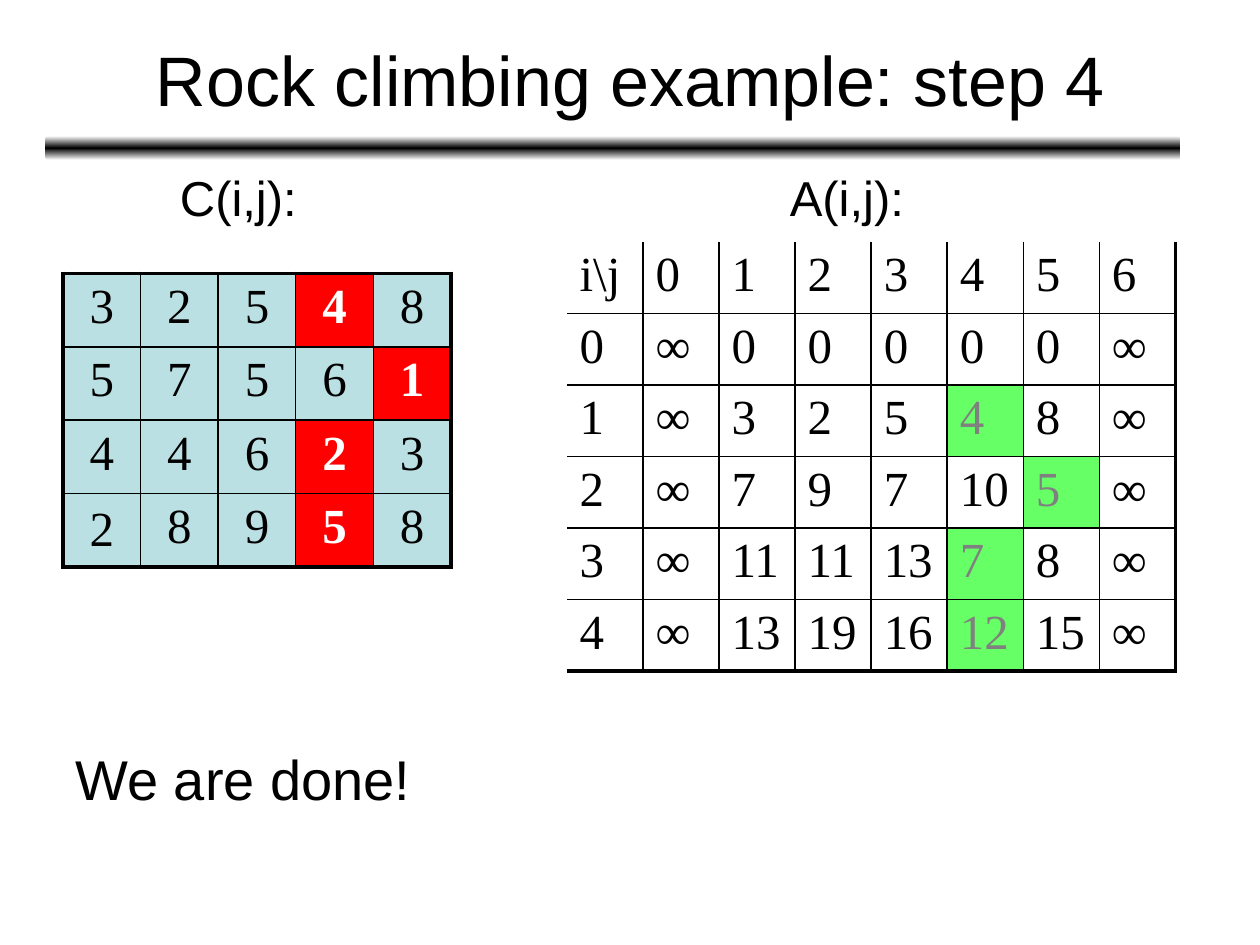
from copy import deepcopy

from lxml import etree
from pptx import Presentation
from pptx.dml.color import RGBColor
from pptx.enum.shapes import MSO_SHAPE
from pptx.enum.text import MSO_ANCHOR, MSO_AUTO_SIZE, PP_ALIGN
from pptx.oxml.ns import qn
from pptx.util import Inches, Pt

ROUNDED = MSO_SHAPE.ROUNDED_RECTANGLE
MIDDLE = MSO_ANCHOR.MIDDLE
LEFT, CENTER = PP_ALIGN.LEFT, PP_ALIGN.CENTER
NO_FIT, FIT_SHAPE = MSO_AUTO_SIZE.NONE, MSO_AUTO_SIZE.SHAPE_TO_FIT_TEXT


class Theme:
    font, table_font = "Arial", "Times New Roman"
    title, closing, label, cell = Pt(40), Pt(32), Pt(28), Pt(28)
    black = RGBColor(0, 0, 0)
    white = RGBColor(255, 255, 255)
    gray = RGBColor(0x80, 0x80, 0x80)
    cost = RGBColor(0xBB, 0xE0, 0xE3)
    red = RGBColor(255, 0, 0)
    green = RGBColor(0x66, 0xFF, 0x66)
    thin, thick = Pt(1), Pt(2.25)


def set_font(p, name, size, color, bold=False):
    p.font.name, p.font.size, p.font.bold = name, size, bold
    p.font.color.rgb = color


def add_grid(s, rows, box, align, fill, path_cells, path_style, outer):
    """Add a table; path_style is (fill, text colour, bold), outer the edge widths by side."""
    n_rows, n_cols = len(rows), len(rows[0])
    left, top, width, height = [Inches(v) for v in box]
    table = s.shapes.add_table(n_rows, n_cols, left, top, width, height).table
    table.first_row = table.horz_banding = False
    for column in table.columns:
        column.width = width // n_cols
    for row in table.rows:
        row.height = height // n_rows

    for i, values in enumerate(rows):
        for j, value in enumerate(values):
            cell = table.cell(i, j)
            on_edge = {"L": j == 0, "R": j == n_cols - 1, "T": i == 0, "B": i == n_rows - 1}
            tcPr = cell._tc.get_or_add_tcPr()
            for side, edge in on_edge.items():
                line_width = outer[side] if edge else Theme.thin
                ln = etree.SubElement(tcPr, qn(f"a:ln{side}"), w=str(line_width or 0))
                if line_width:
                    solid = etree.SubElement(ln, qn("a:solidFill"))
                    etree.SubElement(solid, qn("a:srgbClr"), val=str(Theme.black))
                else:
                    etree.SubElement(ln, qn("a:noFill"))

            cell_fill, color, bold = fill, Theme.black, False
            if (i, j) in path_cells:
                cell_fill, color, bold = path_style
            if cell_fill is None:
                cell.fill.background()
            else:
                cell.fill.solid()
                cell.fill.fore_color.rgb = cell_fill
            cell.text = value
            p = cell.text_frame.paragraphs[0]
            p.alignment = align
            set_font(p, Theme.table_font, Theme.cell, color, bold)
    return table


prs = Presentation()
prs.slide_width, prs.slide_height = Inches(10), Inches(7.5)
s = prs.slides.add_slide(prs.slide_layouts[5])

# Title with a shaded rule below it
rule = s.shapes.add_shape(ROUNDED, Inches(0.36), Inches(1.08), Inches(9.01), Inches(0.19))
rule.shadow.inherit = False
rule.line.fill.background()
rule.fill.gradient()
rule.fill.gradient_angle = 90
first_stop = rule._element.spPr.find(".//" + qn("a:gs"))
first_stop.addnext(deepcopy(first_stop))
stops = zip(rule.fill.gradient_stops, (0, 0.5, 1), (Theme.white, Theme.black, Theme.white))
for stop, position, color in stops:
    stop.position = position
    stop.color.rgb = color

title = s.shapes.title
title.left, title.top = Inches(0.75), Inches(0)
title.width, title.height = Inches(8.5), Inches(1.25)
tf = title.text_frame
tf.text = "Rock climbing example: step 4"
tf.auto_size, tf.vertical_anchor = NO_FIT, MIDDLE
tf.paragraphs[0].alignment = CENTER
set_font(tf.paragraphs[0], Theme.font, Theme.title, Theme.black)

# Table labels and closing line
for text, box, size, wrap in (
    ("C(i,j):", (1.33, 1.33, 1.14, 0.52), Theme.label, False),
    ("A(i,j):", (6.17, 1.33, 1.16, 0.52), Theme.label, False),
    ("We are done!", (0.5, 5.92, 8.76, 0.58), Theme.closing, True),
):
    tf = s.shapes.add_textbox(*[Inches(v) for v in box]).text_frame
    tf.text = text
    tf.word_wrap, tf.auto_size = wrap, FIT_SHAPE
    p = tf.paragraphs[0]
    p.line_spacing = 0.9
    set_font(p, Theme.font, size, Theme.black)

# Cost of each hold, with the cheapest path
costs = ["3 2 5 4 8", "5 7 5 6 1", "4 4 6 2 3", "2 8 9 5 8"]
path = [(0, 3), (1, 4), (2, 3), (3, 3)]
cost_table = add_grid(
    s, [row.split() for row in costs], (0.5, 2.17, 3.08, 2.33), CENTER, Theme.cost,
    path, (Theme.red, Theme.white, True), dict.fromkeys("LRTB", Theme.thick))
cost_table.cell(3, 0).vertical_anchor = MIDDLE

# Accumulated cost: the same path, shifted by the header and border cells
totals = [
    r"i\j 0 1 2 3 4 5 6",
    "0 ∞ 0 0 0 0 0 ∞",
    "1 ∞ 3 2 5 4 8 ∞",
    "2 ∞ 7 9 7 10 5 ∞",
    "3 ∞ 11 11 13 7 8 ∞",
    "4 ∞ 13 19 16 12 15 ∞",
]
add_grid(
    s, [row.split() for row in totals], (4.5, 1.92, 4.83, 3.4), LEFT, None,
    [(i + 2, j + 2) for i, j in path], (Theme.green, Theme.gray, False),
    {"L": None, "R": Theme.thick, "T": None, "B": Theme.thick})

prs.save("out.pptx")
